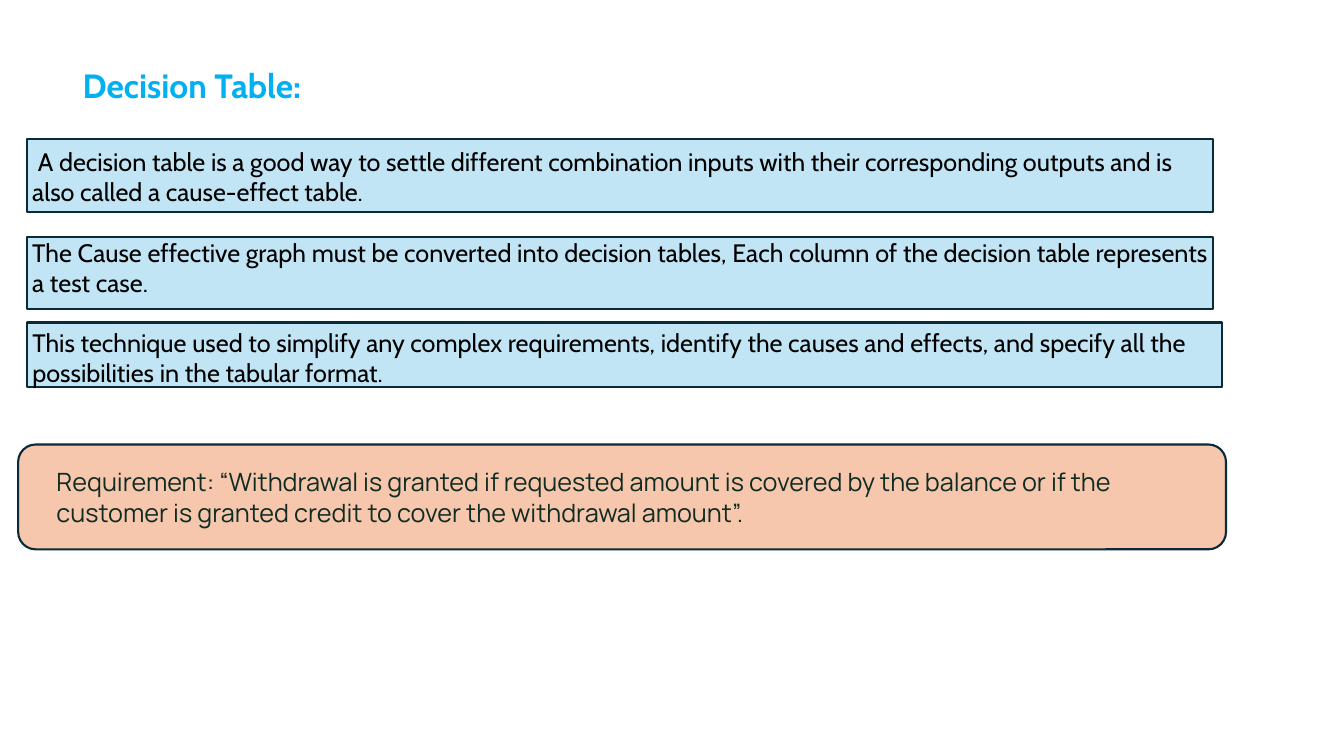
import dataclasses

import pptx
import pptx.dml.color
import pptx.enum.shapes
import pptx.enum.text
import pptx.util

Inches = pptx.util.Inches
Pt = pptx.util.Pt
Shape = pptx.enum.shapes.MSO_SHAPE
Anchor = pptx.enum.text.MSO_ANCHOR


def rgb(value):
    return pptx.dml.color.RGBColor.from_string(value)


@dataclasses.dataclass(frozen=True)
class Theme:
    heading: str = "00B0F0"
    body: str = "000000"
    requirement: str = "0F2C22"
    outline: str = "092A39"
    point_fill: str = "C1E5F5"
    requirement_fill: str = "F6C6AD"
    main_font: str = "Cabin"
    requirement_font: str = "Manrope"
    heading_size: int = 24
    body_size: int = 18
    line_width: float = 1.5


class SlideBuilder:
    def __init__(self, slide, theme):
        self.slide = slide
        self.theme = theme

    def set_text(self, shape, text, font, size, color, insets, anchor, bold=False):
        """Fill a shape with one left-aligned run; insets are left, top, right, bottom."""
        frame = shape.text_frame
        frame.word_wrap = True
        frame.auto_size = pptx.enum.text.MSO_AUTO_SIZE.NONE
        frame.vertical_anchor = anchor
        (frame.margin_left, frame.margin_top,
         frame.margin_right, frame.margin_bottom) = map(Inches, insets)
        paragraph = frame.paragraphs[0]
        paragraph.alignment = pptx.enum.text.PP_ALIGN.LEFT
        run = paragraph.add_run()
        run.text = text
        run.font.name = font
        run.font.size = Pt(size)
        run.font.bold = bold
        run.font.color.rgb = rgb(color)

    def title(self, text, left, top, width, height):
        heading = self.slide.shapes.title
        heading.left, heading.top = Inches(left), Inches(top)
        heading.width, heading.height = Inches(width), Inches(height)
        self.set_text(heading, text, self.theme.main_font, self.theme.heading_size,
                      self.theme.heading, (0.1, 0.05, 0.1, 0.05), Anchor.TOP, bold=True)

    def panel(self, kind, bounds, fill):
        panel = self.slide.shapes.add_shape(kind, *map(Inches, bounds))
        panel.shadow.inherit = False
        panel.fill.solid()
        panel.fill.fore_color.rgb = rgb(fill)
        panel.line.color.rgb = rgb(self.theme.outline)
        panel.line.width = Pt(self.theme.line_width)
        return panel

    def point(self, text, top, width, height, text_inset):
        panel = self.panel(Shape.RECTANGLE, (0.27, top, width, height),
                           self.theme.point_fill)
        self.set_text(panel, text, self.theme.main_font, self.theme.body_size,
                      self.theme.body, (0.05, text_inset, 0, 0), Anchor.TOP)

    def requirement(self, text, *bounds):
        panel = self.panel(Shape.ROUNDED_RECTANGLE, bounds, self.theme.requirement_fill)
        self.set_text(panel, text, self.theme.requirement_font, self.theme.body_size,
                      self.theme.requirement, (0.33, 0, 0.19, 0), Anchor.MIDDLE)


POINTS = [
    (" A decision table is a good way to settle different combination inputs with "
     "their corresponding outputs and is also called a cause-effect table.",
     1.38, 11.76, 0.72, 0.07),
    ("The Cause effective graph must be converted into decision tables, Each column "
     "of the decision table represents a test case.",
     2.35, 11.76, 0.72, 0),
    ("This technique used to simplify any complex requirements, identify the causes "
     "and effects, and specify all the possibilities in the tabular format.",
     3.2, 11.85, 0.64, 0.05),
]


def main():
    deck = pptx.Presentation()
    deck.slide_width, deck.slide_height = Inches(13.33), Inches(7.48)
    title_only = deck.slide_layouts[5]
    builder = SlideBuilder(deck.slides.add_slide(title_only), Theme())

    builder.title("Decision Table:", 0.72, 0.59, 11.3, 0.55)
    for point in POINTS:
        builder.point(*point)
    builder.requirement(
        "Requirement: “Withdrawal is granted if requested amount is covered by the "
        "balance or if the customer is granted credit to cover the withdrawal amount”.",
        0.18, 4.41, 11.98, 1.04)

    deck.save("out.pptx")


if __name__ == "__main__":
    main()
